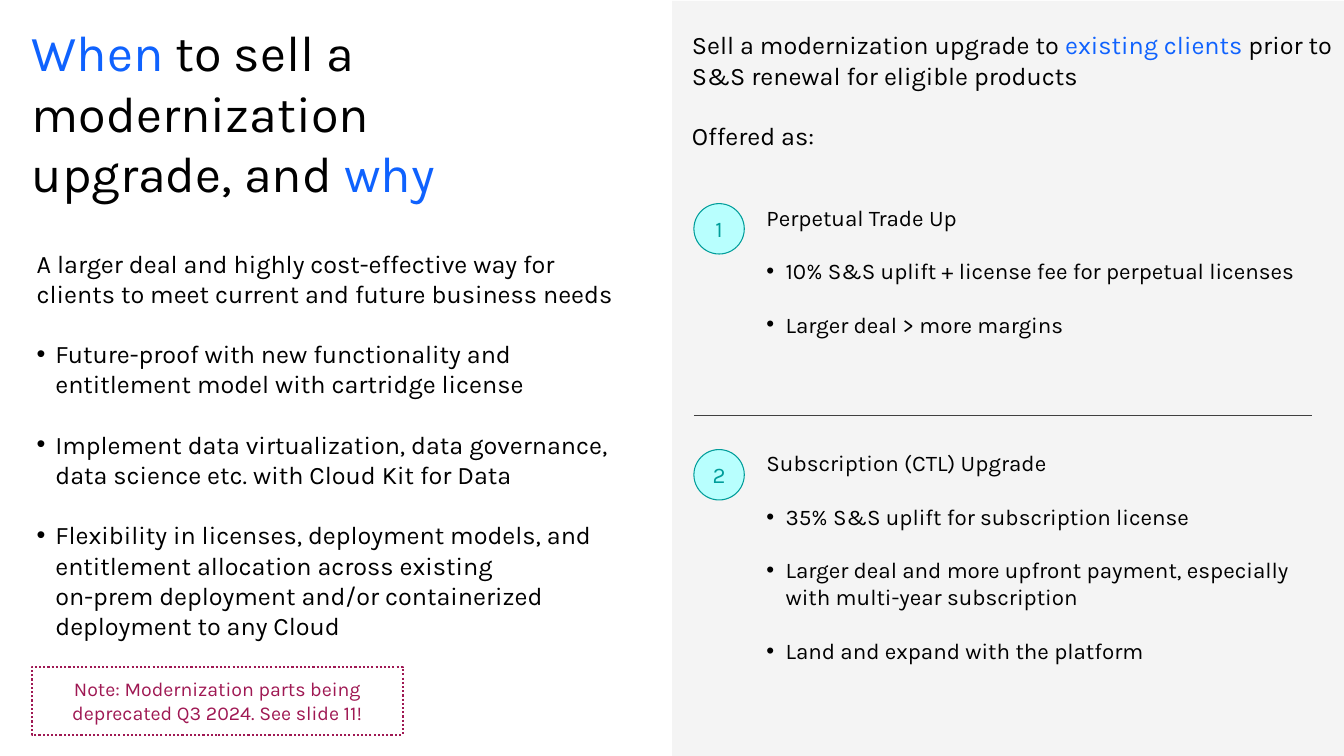
from lxml import etree
from pptx import Presentation
from pptx.dml.color import RGBColor
from pptx.enum import dml, shapes, text
from pptx.oxml.ns import qn
from pptx.util import Inches, Pt

FONT = "Karla"
BLACK, WHITE, BLUE, GRAY, RULE = "000000", "FFFFFF", "0F62FE", "F4F4F4", "404040"
TEAL, PALE_TEAL, PLUM = "009D9A", "B8FFFE", "9F1853"
LINE_HEIGHT = 1.2

# A paragraph is a list of (words, colour) runs or a plain string; "• " starts a bullet.
TITLE = [[("When", BLUE), (" to sell a modernization upgrade, and ", BLACK), ("why", BLUE)]]
REASONS = [
    "A larger deal and highly cost-effective way for clients to meet current and future business needs",
    "• Future-proof with new functionality and entitlement model with cartridge license",
    "• Implement data virtualization, data governance, data science etc. with Cloud Kit for Data",
    "• Flexibility in licenses, deployment models, and entitlement allocation across existing \n"
    "on-prem deployment and/or containerized deployment to any Cloud",
]
OFFER_INTRO = [
    [("Sell a modernization upgrade to ", BLACK), ("existing clients ", BLUE),
     ("prior to S&S renewal for eligible products", BLACK)],
    "Offered as:",
]
OFFERS = [
    ["Perpetual Trade Up",
     "• 10% S&S uplift + license fee for perpetual licenses",
     "• Larger deal > more margins"],
    ["Subscription (CTL) Upgrade",
     "• 35% S&S uplift for subscription license",
     "• Larger deal and more upfront payment, especially with multi-year subscription",
     "• Land and expand with the platform"],
]
NOTE = ["Note: Modernization parts being deprecated Q3 2024. See slide 11!"]

LEFT_MARGIN = 0.63
BADGE_LEFT, OFFER_LEFT = 13.77, 15.21
OFFER_TOP, OFFER_PITCH = 4.04, 4.88


def color(hex_string):
    return RGBColor.from_string(hex_string)


def add_bullet(paragraph, indent):
    properties = paragraph._p.get_or_add_pPr()
    properties.set("marL", str(Inches(indent)))
    properties.set("indent", str(-Inches(indent)))
    etree.SubElement(properties, qn("a:buFont")).set("typeface", "Arial")
    etree.SubElement(properties, qn("a:buChar")).set("char", "•")


def write(shape, paragraphs, size, ink=BLACK, insets=(0, 0, 0, 0), indent=0.38,
          align=text.PP_ALIGN.LEFT, anchor=text.MSO_ANCHOR.TOP):
    """Fill a shape with paragraphs set one blank line apart."""
    frame = shape.text_frame
    frame.word_wrap = True
    frame.vertical_anchor = anchor
    (frame.margin_left, frame.margin_top,
     frame.margin_right, frame.margin_bottom) = map(Inches, insets)
    for index, content in enumerate(paragraphs):
        paragraph = frame.paragraphs[0] if index == 0 else frame.add_paragraph()
        paragraph.alignment = align
        if index:
            paragraph.space_before = Pt(round(size * LINE_HEIGHT))
        runs = [(content, ink)] if isinstance(content, str) else content
        if runs[0][0].startswith("• "):
            add_bullet(paragraph, indent)
            runs = [(runs[0][0][2:], ink)]
        for words, run_color in runs:
            for number, line in enumerate(words.split("\n")):
                if number:
                    paragraph.add_line_break()
                run = paragraph.add_run()
                run.text = line
                run.font.name = FONT
                run.font.size = Pt(size)
                run.font.color.rgb = color(run_color)


def add_text(slide, box, paragraphs, size, **style):
    write(slide.shapes.add_textbox(*map(Inches, box)), paragraphs, size, **style)


def add_shape(slide, kind, box, fill, line=None, width=1.0):
    shape = slide.shapes.add_shape(kind, *map(Inches, box))
    shape.shadow.inherit = False
    shape.fill.solid()
    shape.fill.fore_color.rgb = color(fill)
    if line:
        shape.line.color.rgb = color(line)
        shape.line.width = Pt(width)
    else:
        shape.line.fill.background()
    return shape


def add_rule(slide, left, right, y):
    rule = slide.shapes.add_connector(
        shapes.MSO_CONNECTOR.STRAIGHT, Inches(left), Inches(y), Inches(right), Inches(y))
    rule.line.color.rgb = color(RULE)
    rule.line.width = Pt(1)
    etree.SubElement(rule._element.spPr, qn("a:effectLst"))


def main():
    presentation = Presentation()
    presentation.slide_width, presentation.slide_height = Inches(26.67), Inches(15)
    slide = presentation.slides.add_slide(presentation.slide_layouts[6])
    rectangle, oval = shapes.MSO_SHAPE.RECTANGLE, shapes.MSO_SHAPE.OVAL
    centered = {"insets": (0.1, 0.1, 0.1, 0.1), "align": text.PP_ALIGN.CENTER,
                "anchor": text.MSO_ANCHOR.MIDDLE}

    add_text(slide, (LEFT_MARGIN, 0.42, 9.9, 5), TITLE, 72)
    panel = add_shape(slide, rectangle, (13.34, 0.02, 13.34, 15), GRAY)
    write(panel, OFFER_INTRO, 36, insets=(0.39, 0.57, 0.1, 0.1))
    add_text(slide, (LEFT_MARGIN, 4.87, 12.04, 7.98), REASONS, 36,
             insets=(0.1, 0.05, 0.1, 0.05), indent=0.37)

    for index, offer in enumerate(OFFERS):
        top = OFFER_TOP + index * OFFER_PITCH
        badge = add_shape(slide, oval, (BADGE_LEFT, top, 1, 1), PALE_TEAL, TEAL, 1.5)
        write(badge, [str(index + 1)], 32, ink=TEAL, **centered)
        add_text(slide, (OFFER_LEFT, top, 10.5, 2.21), offer, 32)
    add_rule(slide, BADGE_LEFT, 26.04, 8.25)

    note = add_shape(slide, rectangle, (LEFT_MARGIN, 13.23, 7.36, 1.35), WHITE, PLUM, 3)
    note.line.dash_style = dml.MSO_LINE.ROUND_DOT
    write(note, NOTE, 28, ink=PLUM, **centered)
    presentation.save("out.pptx")


if __name__ == "__main__":
    main()
